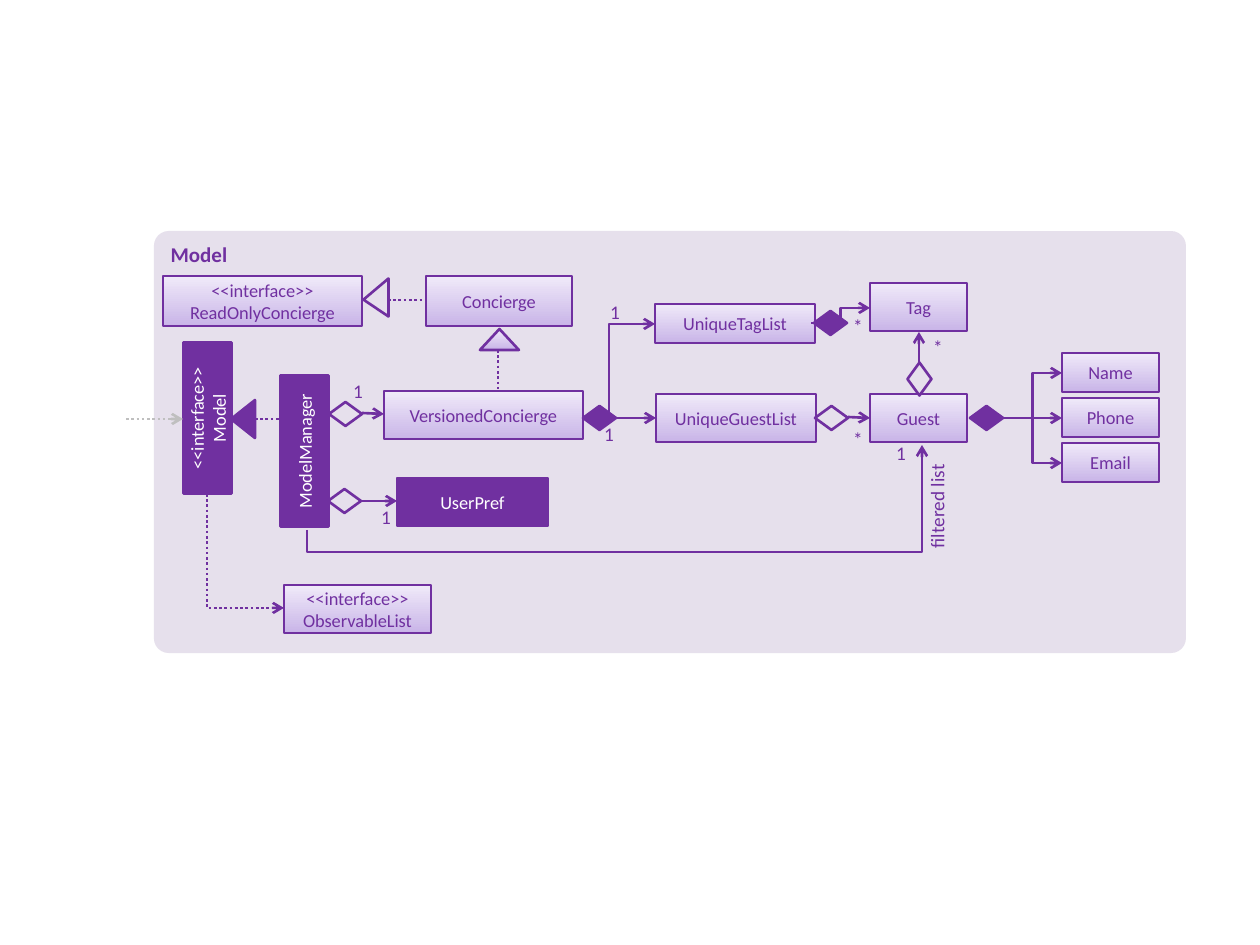
from pptx import Presentation
from pptx.dml.color import RGBColor
from pptx.enum.dml import MSO_LINE
from pptx.enum.shapes import MSO_CONNECTOR as LINK, MSO_SHAPE as SHAPE
from pptx.enum.text import MSO_ANCHOR as ANCHOR, PP_ALIGN as ALIGN
from pptx.oxml.ns import qn
from pptx.util import Inches, Pt
from lxml.etree import SubElement

PIXEL = Inches(1) / 126
PURPLE, LILAC, WHITE, GREY = "7030A0", "E6E0EC", "FFFFFF", "BFBFBF"
PALE = ("C9B5E8", "F0EAF9")


def px(*lengths):
    """Turn picture pixels into EMU."""
    return [round(length * PIXEL) for length in lengths]


def rgb(color):
    """Return the colour of a hex string."""
    return RGBColor.from_string(color)


def paint(shape, fill):
    """Fill a shape with nothing, one colour or a vertical gradient."""
    if fill is None:
        shape.fill.background()
    elif isinstance(fill, tuple):
        shape.fill.gradient()
        shape.fill.gradient_angle = 90
        for stop, color in zip(shape.fill.gradient_stops, fill):
            stop.color.rgb = rgb(color)
    else:
        shape.fill.solid()
        shape.fill.fore_color.rgb = rgb(fill)


def stroke(shape, color=PURPLE, dotted=False, arrow=False):
    """Style an outline or a link."""
    shape.line.color.rgb = rgb(color)
    shape.line.width = Pt(1.5)
    if dotted:
        shape.line.dash_style = MSO_LINE.ROUND_DOT
    if arrow:
        outline = shape.element.spPr.find(qn("a:ln"))
        SubElement(outline, qn("a:tailEnd")).set("type", "arrow")


def write(shape, text, size, color, align=ALIGN.CENTER, bold=False):
    """Set the text of a shape and format it."""
    shape.text_frame.text = text
    for para in shape.text_frame.paragraphs:
        para.alignment = align
        for span in para.runs:
            span.font.name = "Calibri"
            span.font.size = Pt(size)
            span.font.bold = bold
            span.font.color.rgb = rgb(color)


def add_figure(page, kind, at, fill=None, rotation=0):
    """Add an outlined preset shape."""
    shape = page.shapes.add_shape(kind, *px(*at))
    shape.shadow.inherit = False
    shape.rotation = rotation
    paint(shape, fill)
    stroke(shape)
    return shape


def add_panel(page):
    """Add the titled background panel."""
    panel = add_figure(page, SHAPE.ROUNDED_RECTANGLE, (154, 231, 1032, 422), LILAC)
    panel.adjustments[0] = 0.035
    panel.line.fill.background()
    panel.text_frame.vertical_anchor = ANCHOR.TOP
    write(panel, "Model", 12, PURPLE, ALIGN.LEFT, True)


def add_class(page, text, at, fill=PALE, rotation=0):
    """Add a class box with its name."""
    box = add_figure(page, SHAPE.RECTANGLE, at, fill, rotation)
    box.text_frame.vertical_anchor = ANCHOR.MIDDLE
    write(box, text, 10.5, WHITE if fill == PURPLE else PURPLE)


def add_label(page, text, left, top, width=26, height=25):
    """Add a multiplicity label without margins."""
    box = page.shapes.add_textbox(*px(left, top, width, height))
    frame = box.text_frame
    frame.word_wrap = True
    frame.margin_left = frame.margin_right = frame.margin_top = frame.margin_bottom = 0
    write(box, text, 11, PURPLE)


def add_role(page):
    """Add the upright name of the guest link."""
    role = page.shapes.add_textbox(*px(877, 494, 121, 37))
    role.rotation = 270
    role.text_frame.word_wrap = True
    write(role, "filtered list", 11, PURPLE, ALIGN.RIGHT)


def add_link(page, ends, kind=LINK.STRAIGHT, arrow=True, dotted=False, color=PURPLE):
    """Add a connector between two points."""
    link = page.shapes.add_connector(kind, *px(*ends))
    stroke(link, color, dotted, arrow)
    SubElement(link.element.spPr, qn("a:effectLst"))


def add_route(page, points, dotted=False):
    """Add an arrow that turns at the given points."""
    start, *rest = [px(*point) for point in points]
    builder = page.shapes.build_freeform(*start, scale=1.0)
    builder.add_line_segments(rest, close=False)
    route = builder.convert_to_shape()
    route.shadow.inherit = False
    paint(route, None)
    stroke(route, dotted=dotted, arrow=True)


def main():
    """Build the class diagram."""
    deck = Presentation()
    deck.slide_width, deck.slide_height = Inches(10), Inches(7.5)
    page = deck.slides.add_slide(deck.slide_layouts[6])
    add_panel(page)

    for text, at, rotation in (
        ("UserPref", (397, 478, 151, 48), 0),
        ("ModelManager", (229, 427, 151, 48), 270),
        ("<<interface>>\nModel", (132, 394, 151, 48), 270),
    ):
        add_class(page, text, at, PURPLE, rotation)
    for text, at in (
        ("<<interface>>\vReadOnlyConcierge", (163, 276, 199, 50)),
        ("Concierge", (426, 276, 146, 50)),
        ("VersionedConcierge", (384, 391, 199, 48)),
        ("UniqueTagList", (655, 304, 160, 39)),
        ("UniqueGuestList", (656, 394, 160, 48)),
        ("Tag", (870, 283, 97, 48)),
        ("Guest", (870, 394, 97, 48)),
        ("<<interface>>\vObservableList", (284, 585, 147, 48)),
    ):
        add_class(page, text, at)
    for row, text in enumerate(("Name", "Phone", "Email")):
        add_class(page, text, (1062, 353 + 45 * row, 97, 39))

    for ends in (
        (359, 501, 397, 501), (362, 413, 384, 414), (616, 418, 656, 418),
        (848, 417, 870, 418), (1003, 418, 1062, 418), (919, 363, 919, 332),
    ):
        add_link(page, ends)
    for ends in ((1003, 418, 1062, 373), (1003, 418, 1062, 463), (811, 323, 870, 308)):
        add_link(page, ends, LINK.ELBOW)
    for ends in ((255, 419, 280, 419), (498, 350, 498, 391), (388, 300, 426, 300)):
        add_link(page, ends, arrow=False, dotted=True)
    add_link(page, (126, 419, 183, 419), dotted=True, color=GREY)
    add_route(page, ((307, 530), (307, 552), (922, 552), (922, 445)))
    add_route(page, ((609, 422), (609, 324), (655, 324)))
    add_route(page, ((207, 494), (207, 608), (284, 608)), dotted=True)

    for left, top, fill, rotation in (
        (328, 489, None, 0), (329, 402, None, 0), (583, 406, PURPLE, 0),
        (815, 406, None, 0), (970, 406, PURPLE, 0), (814, 311, PURPLE, 0),
        (903, 367, None, 270),
    ):
        add_figure(page, SHAPE.FLOWCHART_DECISION, (left, top, 33, 24), fill, rotation)
    for at, fill, rotation, tip in (
        ((224, 407, 38, 24), PURPLE, 270, 0.5),
        ((480, 329, 39, 21), PALE, 0, 0.5),
        ((357, 285, 38, 25), LILAC, 270, 0.445),
    ):
        triangle = add_figure(page, SHAPE.ISOSCELES_TRIANGLE, at, fill, rotation)
        triangle.adjustments[0] = tip

    for text, left, top in (
        ("1", 596, 422), ("1", 345, 379), ("1", 373, 505), ("1", 888, 441),
        ("1", 602, 300), ("*", 845, 427), ("*", 925, 335), ("*", 845, 314),
    ):
        add_label(page, text, left, top)
    add_role(page)
    deck.save("out.pptx")


main()
